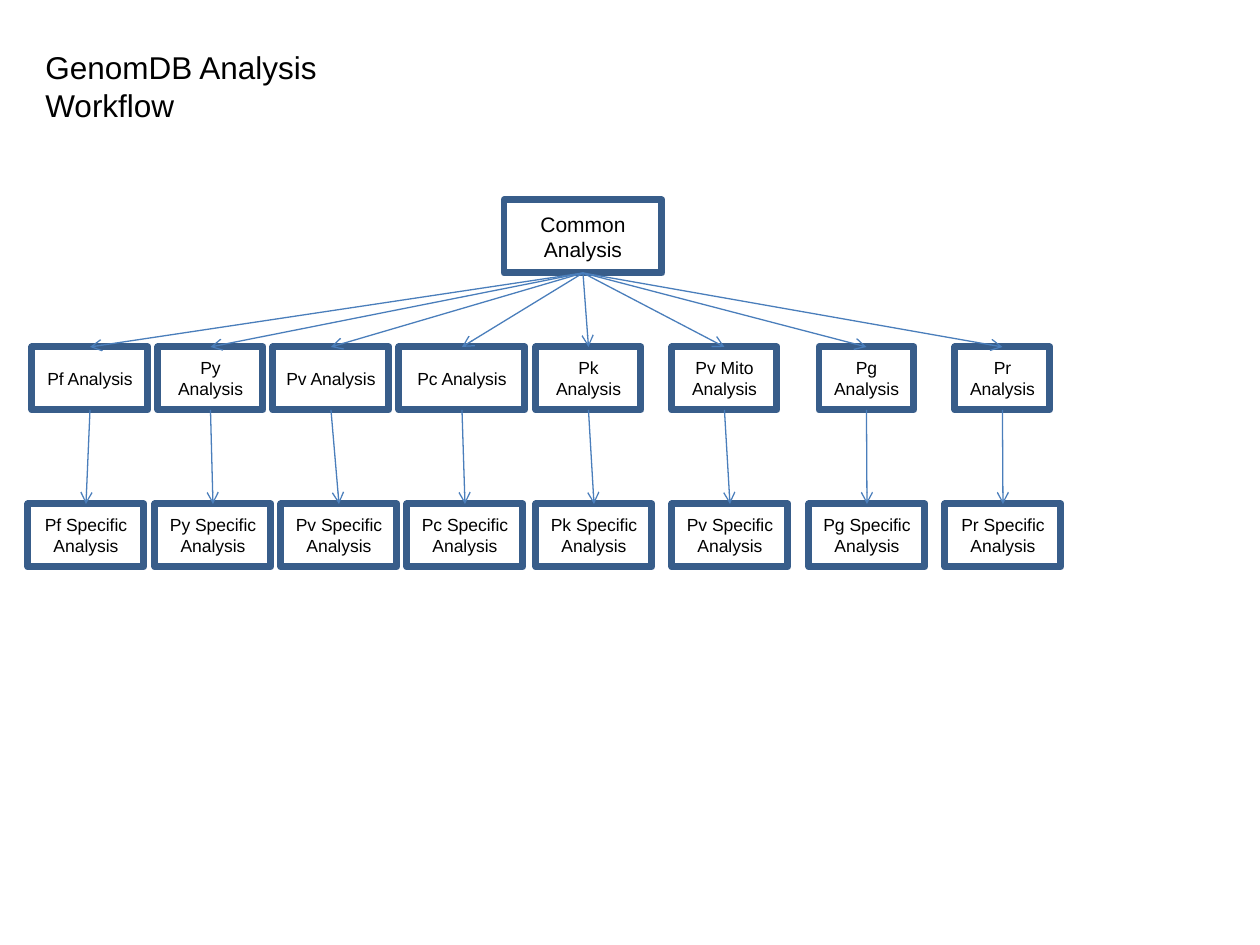
import pptx
import pptx.util
import pptx.dml.color
import pptx.enum.shapes
import pptx.enum.text
import pptx.oxml
import pptx.oxml.ns

PX = 914400 // 126  # EMU in one px
FONT = "Arial"
BLACK = pptx.dml.color.RGBColor(0x00, 0x00, 0x00)
FRAME = pptx.dml.color.RGBColor(0x38, 0x5D, 0x8A)
ARROW = pptx.dml.color.RGBColor(0x4A, 0x7E, 0xBB)
ALIGN = pptx.enum.text.PP_ALIGN
ANCHOR = pptx.enum.text.MSO_ANCHOR

NODE_HEIGHT = 63
# Left of branch, upper label, upper offset and width, lower label
BRANCHES = [
    (28, "Pf Analysis", 4, 116, "Pf Specific Analysis"),
    (155, "Py\nAnalysis", 3, 105, "Py Specific Analysis"),
    (281, "Pv Analysis", -8, 116, "Pv Specific Analysis"),
    (407, "Pc Analysis", -8, 126, "Pc Specific Analysis"),
    (536, "Pk Analysis", 0, 105, "Pk Specific Analysis"),
    (672, "Pv Mito Analysis", 0, 105, "Pv Specific Analysis"),
    (809, "Pg Analysis", 10, 95, "Pg Specific Analysis"),
    (945, "Pr Analysis", 10, 95, "Pr Specific Analysis"),
]


def emu(*lengths):
    return [pptx.util.Emu(round(length * PX)) for length in lengths]


def write_text(frame, text, *, size, align=ALIGN.LEFT, anchor=ANCHOR.TOP, wrap=True):
    frame.word_wrap = wrap
    frame.vertical_anchor = anchor
    for index, line in enumerate(text.split("\n")):
        para = frame.add_paragraph() if index else frame.paragraphs[0]
        para.alignment = align
        span = para.add_run()
        span.text = line
        span.font.name = FONT
        span.font.size = pptx.util.Pt(size)
        span.font.color.rgb = BLACK


def add_node(page, box, text, size):
    node = page.shapes.add_shape(pptx.enum.shapes.MSO_SHAPE.RECTANGLE, *emu(*box))
    node.shadow.inherit = False
    node.fill.background()
    node.line.color.rgb = FRAME
    node.line.width = pptx.util.Pt(4)
    write_text(node.text_frame, text, size=size, align=ALIGN.CENTER, anchor=ANCHOR.MIDDLE)


def top_centre(box):
    left, top, width, height = box
    return left + width / 2, top


def bottom_centre(box):
    left, top, width, height = box
    return left + width / 2, top + height


def add_arrow(page, start, end):
    arrow = page.shapes.add_connector(
        pptx.enum.shapes.MSO_CONNECTOR.STRAIGHT, *emu(*start, *end))
    arrow.line.color.rgb = ARROW
    arrow.line.width = pptx.util.Pt(0.75)
    head = pptx.oxml.parse_xml(
        f'<a:tailEnd {pptx.oxml.ns.nsdecls("a")} type="arrow"/>')
    arrow.line._get_or_add_ln().append(head)
    effects = pptx.oxml.parse_xml(f'<a:effectLst {pptx.oxml.ns.nsdecls("a")}/>')
    arrow._element.spPr.append(effects)


def build_title(page, box):
    title = page.shapes.add_textbox(*emu(*box))
    write_text(title.text_frame, "GenomDB Analysis Workflow", size=18, wrap=False)


def build_branch(page, box, hub, upper_text, offset, upper_width, lower_text):
    left, top, width, height = box
    upper = (left + offset, top, upper_width, NODE_HEIGHT)
    lower = (left, top + height - NODE_HEIGHT, width, NODE_HEIGHT)
    add_node(page, upper, upper_text, 10)
    add_node(page, lower, lower_text, 10)
    add_arrow(page, bottom_centre(hub), top_centre(upper))
    add_arrow(page, bottom_centre(upper), top_centre(lower))


def build_tree(page, box):
    left, top, width, height = box
    # Shared root
    hub = (left + 476, top, 158, 73)
    add_node(page, hub, "Common Analysis", 12)
    # One branch per species
    for branch_left, *parts in BRANCHES:
        branch = (left - 28 + branch_left, top + 147, 116, height - 147)
        build_branch(page, branch, hub, *parts)


def main():
    deck = pptx.Presentation()
    deck.slide_width, deck.slide_height = pptx.util.Inches(10), pptx.util.Inches(7.5)
    page = deck.slides.add_slide(deck.slide_layouts[6])
    build_title(page, (33, 42, 421, 50))
    build_tree(page, (28, 200, 1033, 367))
    deck.save("out.pptx")


if __name__ == "__main__":
    main()
